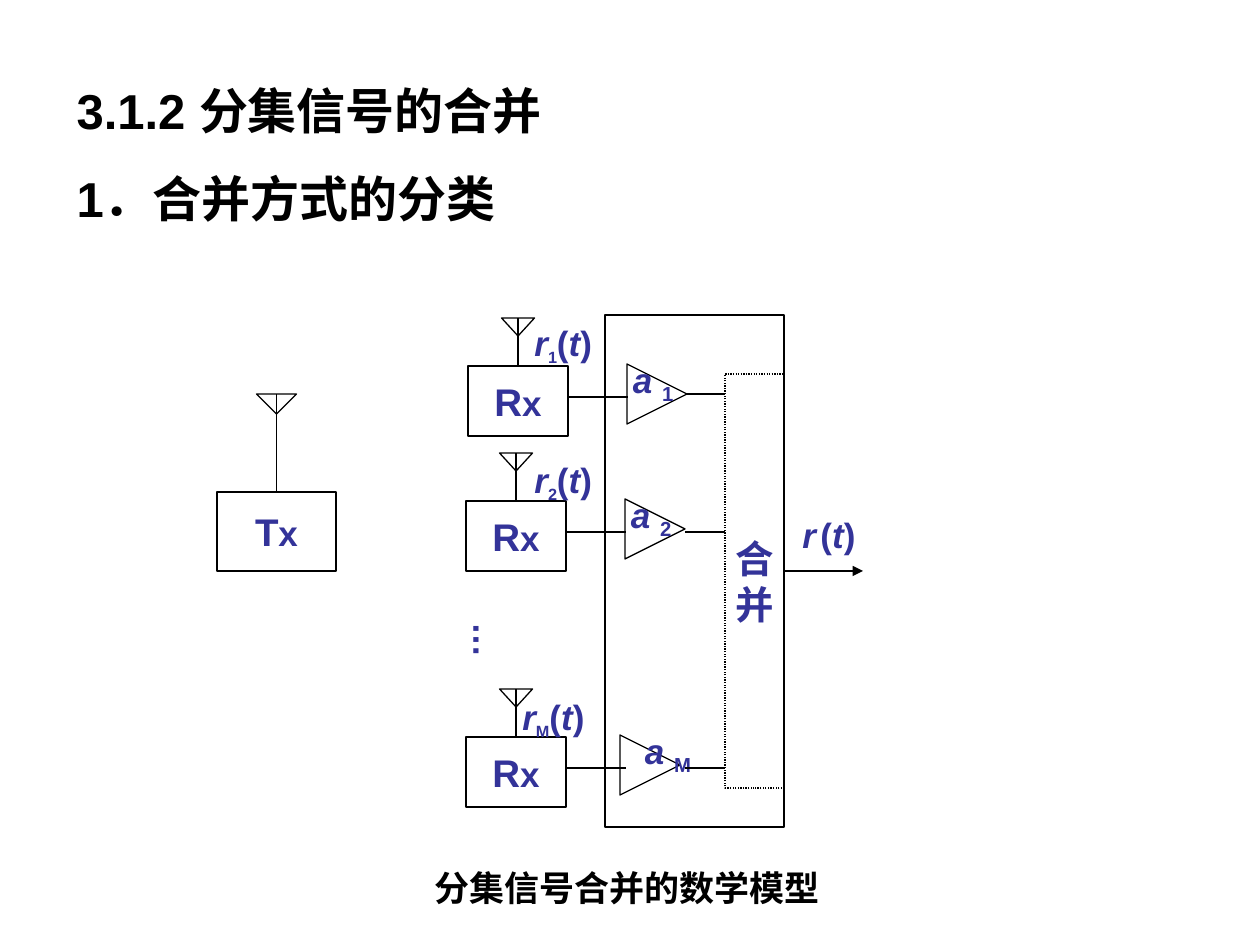
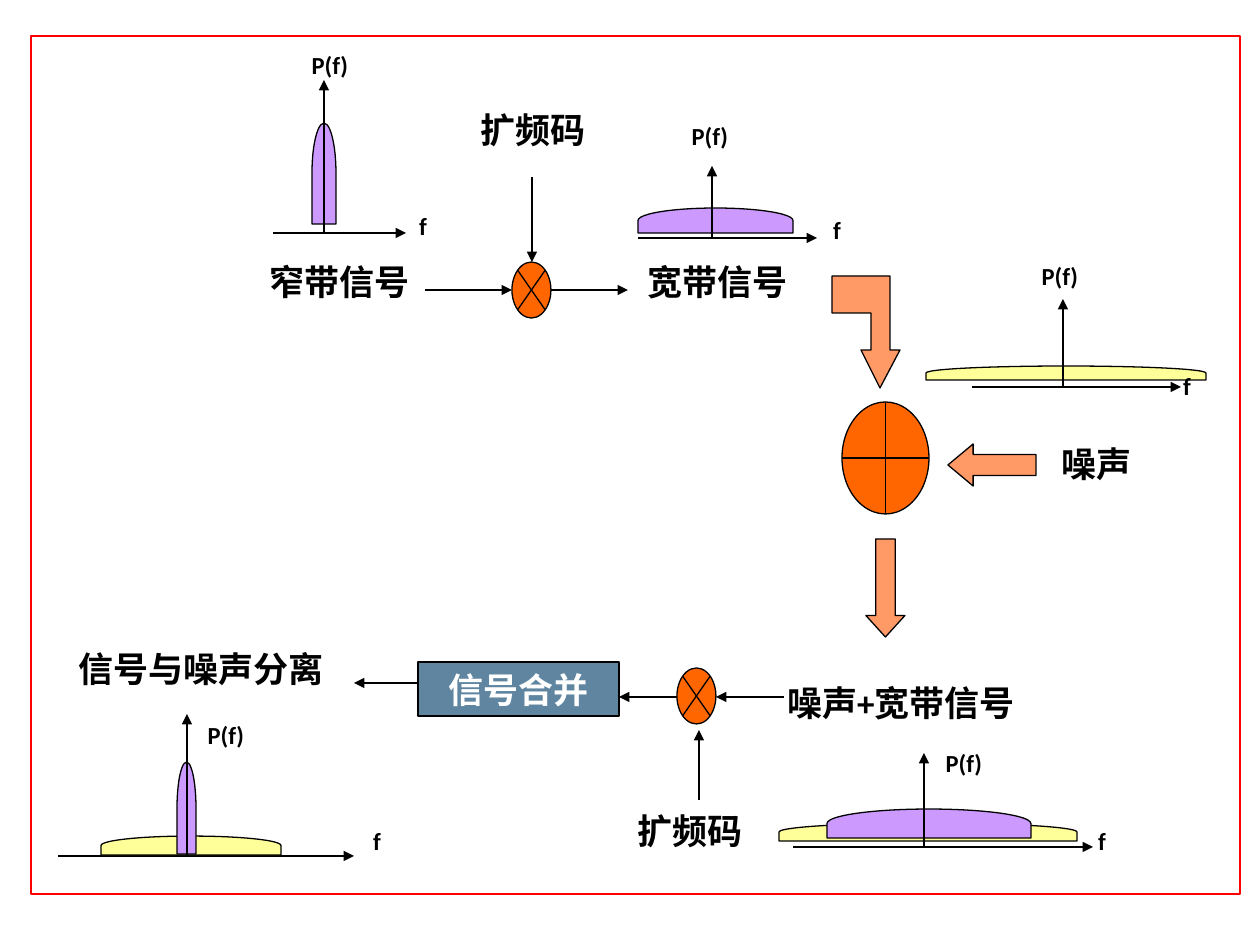
import lxml.etree
import pptx
import pptx.dml.color
import pptx.enum.dml
import pptx.enum.shapes
import pptx.enum.text
import pptx.oxml.ns
import pptx.util

SHAPE = pptx.enum.shapes.MSO_SHAPE
ALIGN = pptx.enum.text.PP_ALIGN
ANCHOR = pptx.enum.text.MSO_ANCHOR
PX = 914400 / 126  # EMU in one px

BLACK, WHITE, RED = "000000", "FFFFFF", "FF0000"
INK, STEEL = "333399", "5F85A1"
ORANGE, PEACH = "FF6600", "FF9966"
PURPLE, YELLOW = "CC99FF", "FFFF99"
LATIN, HAN, BODY = "Arial", "Noto Sans CJK SC", "Calibri"


def emu(px):
    return pptx.util.Emu(round(px * PX))


def color(code):
    return pptx.dml.color.RGBColor.from_string(code)


def add_tag(parent, name, **attrs):
    return lxml.etree.SubElement(parent, pptx.oxml.ns.qn(name), attrs)


# Text

def style(run, size, ink, font, italic=False, sub=False):
    face = run.font
    face.name, face.size = font, pptx.util.Pt(size)
    face.bold, face.italic = True, italic
    face.color.rgb = color(ink)
    props = run._r.get_or_add_rPr()
    add_tag(props, "a:ea", typeface=HAN)
    if sub:
        props.set("baseline", "-25000")


def write(shape, text, size, ink=BLACK, font=BODY, align=ALIGN.CENTER,
          anchor=ANCHOR.MIDDLE, wrap=True, space=None):
    frame = shape.text_frame
    frame.text = text
    frame.word_wrap = wrap
    frame.vertical_anchor = anchor
    for para in frame.paragraphs:
        para.alignment = align
        para.line_spacing = space
        for run in para.runs:
            style(run, size, ink, font)


def write_parts(shape, parts, align=ALIGN.LEFT, anchor=ANCHOR.TOP):
    """Each part is text, size, italic, subscript."""
    frame = shape.text_frame
    frame.word_wrap = False
    frame.vertical_anchor = anchor
    para = frame.paragraphs[0]
    para.alignment = align
    for text, size, italic, sub in parts:
        run = para.add_run()
        run.text = text
        style(run, size, INK, LATIN, italic, sub)


def add_box(slide, x, y, w, h):
    return slide.shapes.add_textbox(emu(x), emu(y), emu(w), emu(h))


def add_label(slide, text, x, y, w, h=54, size=20):
    write(add_box(slide, x, y, w, h), text, size)


# Shapes and lines

def paint(shape, fill=None, edge=BLACK):
    shape.shadow.inherit = False
    if fill:
        shape.fill.solid()
        shape.fill.fore_color.rgb = color(fill)
    else:
        shape.fill.background()
    shape.line.color.rgb = color(edge)
    shape.line.width = pptx.util.Pt(0.75)
    return shape


def add_form(slide, kind, x, y, w, h, fill=None, edge=BLACK, turn=0):
    shape = slide.shapes.add_shape(kind, emu(x), emu(y), emu(w), emu(h))
    shape.rotation = turn
    return paint(shape, fill, edge)


def add_line(slide, x1, y1, x2, y2, arrow=False):
    line = slide.shapes.add_connector(
        pptx.enum.shapes.MSO_CONNECTOR.STRAIGHT,
        emu(x1), emu(y1), emu(x2), emu(y2))
    line.line.color.rgb = color(BLACK)
    line.line.width = pptx.util.Pt(0.75)
    if arrow:
        add_tag(line.line._get_or_add_ln(), "a:tailEnd", type="triangle")
    add_tag(line._element.spPr, "a:effectLst")
    return line


# Parts of the diversity model

def add_radio(slide, first, x, y, w, h, mast, cup_w, cup_h):
    """A Tx or Rx block with its antenna."""
    block = add_form(slide, SHAPE.RECTANGLE, x, y, w, h)
    write_parts(block, [(first, 22, False, False), ("x", 20, False, False)],
                ALIGN.CENTER, ANCHOR.MIDDLE)
    mid = x + w / 2
    stem = add_line(slide, mid, y, mid, y - mast)
    stem.begin_connect(block, 0)
    add_form(slide, SHAPE.ISOSCELES_TRIANGLE, mid - cup_w / 2, y - mast,
             cup_w, cup_h, turn=180)


def add_signal(slide, index, x, y):
    write_parts(add_box(slide, x, y, 90, 54), [
        ("r", 20, True, False), (index, 16, False, True),
        ("(", 20, False, False), ("t", 20, True, False),
        (")", 20, False, False)])


def add_gain(slide, index, x, y, shift):
    add_form(slide, SHAPE.ISOSCELES_TRIANGLE, x, y, 60, 60, turn=90)
    box = add_box(slide, x + shift, y - 6, 50, 42)
    frame = box.text_frame
    frame.margin_left = frame.margin_right = 0
    frame.margin_top = frame.margin_bottom = 0
    write_parts(box, [("a ", 20, True, False), (index, 20, False, True)])


def add_branch(slide, index, x, y, wire, out, gain, shift, label):
    add_radio(slide, "R", x, y, 100, 70, 48, 33, 18)
    add_line(slide, x + 100, wire, x + 160, wire)
    add_gain(slide, index, gain, y - 2, shift)
    add_line(slide, 685, out, 725, out)
    add_signal(slide, index, *label)


def build_model(deck):
    slide = deck.slides.add_slide(deck.slide_layouts[5])
    title = slide.shapes.title
    title.left, title.top = emu(64), emu(45)
    title.width, title.height = emu(684), emu(703)
    write(title, "3.1.2 分集信号的合并\n1．合并方式的分类", 28, font=LATIN,
          align=ALIGN.LEFT, anchor=ANCHOR.TOP, space=1.5)
    title.text_frame.auto_size = pptx.enum.text.MSO_AUTO_SIZE.NONE

    # Sender and receiver frame
    frame = add_form(slide, SHAPE.RECTANGLE, 605, 315, 179, 512)
    add_radio(slide, "T", 217, 492, 119, 79, 98, 40, 20)

    # Receiving branches
    for branch in [
        ("1", 468, 366, 397, 394, 627, 6, (522, 315)),
        ("2", 466, 501, 532, 532, 625, 6, (522, 452)),
        ("M", 466, 737, 768, 768, 620, 25, (510, 689)),
    ]:
        add_branch(slide, *branch)
    dots = add_box(slide, 452, 576, 79, 108)
    dots.rotation = 270
    write(dots, "…", 20, INK, LATIN, ALIGN.LEFT, ANCHOR.TOP)

    # Combiner and output
    comb = add_form(slide, SHAPE.RECTANGLE, 725, 374, 59, 414)
    comb.line.dash_style = pptx.enum.dml.MSO_LINE.ROUND_DOT
    write(comb, "合\n并", 22, INK, LATIN, wrap=False)
    out = add_line(slide, 784, 571, 863, 571, arrow=True)
    out.begin_connect(frame, 3)
    add_signal(slide, " ", 790, 507)

    write(add_box(slide, 422, 839, 417, 77), "分集信号合并的数学模型", 20,
          font=HAN, align=ALIGN.LEFT, anchor=ANCHOR.TOP, wrap=False,
          space=1.5)


# Parts of the spread spectrum flow

def add_dome(slide, fill, x, y, w, h):
    """A delay shape turned so that its round side is on top."""
    add_form(slide, SHAPE.FLOWCHART_DELAY, x + (w - h) / 2, y + (h - w) / 2,
             h, w, fill, turn=270)


def add_graph(slide, left, right, base, mid, top, domes, power, freq):
    add_line(slide, left, base, right, base, arrow=True)
    for dome in domes:
        add_dome(slide, *dome)
    add_line(slide, mid, base, mid, top, arrow=True)
    add_label(slide, "P(f)", *power, 76, 42, 14)
    add_label(slide, "f", *freq, 40, 42, 14)


def add_bend(slide):
    """The bent block arrow that leads down to the adder."""
    pen = slide.shapes.build_freeform(880, 388, scale=PX)
    pen.add_line_segments([
        (861, 350), (871, 350), (871, 313), (832, 313), (832, 276),
        (890, 276), (890, 350), (900, 350)], close=True)
    paint(pen.convert_to_shape(), PEACH)


def add_block(slide, kind, x, y, w, h, head):
    arrow = add_form(slide, kind, x, y, w, h, PEACH)
    arrow.adjustments[0], arrow.adjustments[1] = 0.5, head


def build_flow(deck):
    slide = deck.slides.add_slide(deck.slide_layouts[6])
    add_form(slide, SHAPE.RECTANGLE, 31, 36, 1209, 858, WHITE, RED)

    # Mixers and adder
    for x, y in [(512, 262), (677, 668)]:
        add_form(slide, SHAPE.FLOWCHART_SUMMING_JUNCTION, x, y, 39, 56,
                 ORANGE)
    add_form(slide, SHAPE.FLOWCHART_OR, 842, 402, 87, 112, ORANGE)

    # Block arrows
    add_bend(slide)
    add_block(slide, SHAPE.DOWN_ARROW, 866, 539, 39, 98, 0.55)
    add_block(slide, SHAPE.LEFT_ARROW, 948, 444, 88, 42, 0.6)

    # Combiner
    comb = add_form(slide, SHAPE.RECTANGLE, 418, 662, 201, 54, STEEL)
    write(comb, "信号合并", 20, WHITE)

    # Thin arrows
    for ends in [
        (425, 290, 512, 290), (551, 290, 628, 290), (532, 177, 532, 262),
        (699, 800, 699, 730), (677, 697, 619, 697), (784, 697, 716, 697),
        (419, 683, 354, 683),
    ]:
        add_line(slide, *ends, arrow=True)

    # Spectra
    for graph in [
        (273, 406, 233, 324, 80, [(PURPLE, 312, 123, 24, 101)],
         (292, 44), (403, 205)),
        (638, 817, 238, 712, 166, [(PURPLE, 638, 208, 155, 25)],
         (672, 115), (817, 209)),
        (972, 1181, 387, 1063, 299, [(YELLOW, 926, 366, 280, 14)],
         (1022, 255), (1167, 365)),
        (793, 1093, 847, 924, 753, [(YELLOW, 779, 823, 298, 18),
                                    (PURPLE, 827, 809, 204, 29)],
         (926, 742), (1082, 820)),
        (58, 354, 856, 187, 714, [(YELLOW, 101, 836, 180, 19),
                                  (PURPLE, 177, 762, 19, 92)],
         (188, 714), (357, 820)),
    ]:
        add_graph(slide, *graph)

    # Captions
    for text, x, y, w in [
        ("扩频码", 455, 102, 156), ("扩频码", 612, 803, 156),
        ("窄带信号", 241, 254, 198), ("宽带信号", 619, 254, 198),
        ("噪声", 1039, 436, 115), ("噪声+宽带信号", 748, 675, 306),
        ("信号与噪声分离", 39, 641, 324),
    ]:
        add_label(slide, text, x, y, w)


def main():
    deck = pptx.Presentation()
    deck.slide_width, deck.slide_height = emu(1260), emu(945)
    build_model(deck)
    build_flow(deck)
    deck.save("out.pptx")


if __name__ == "__main__":
    main()
